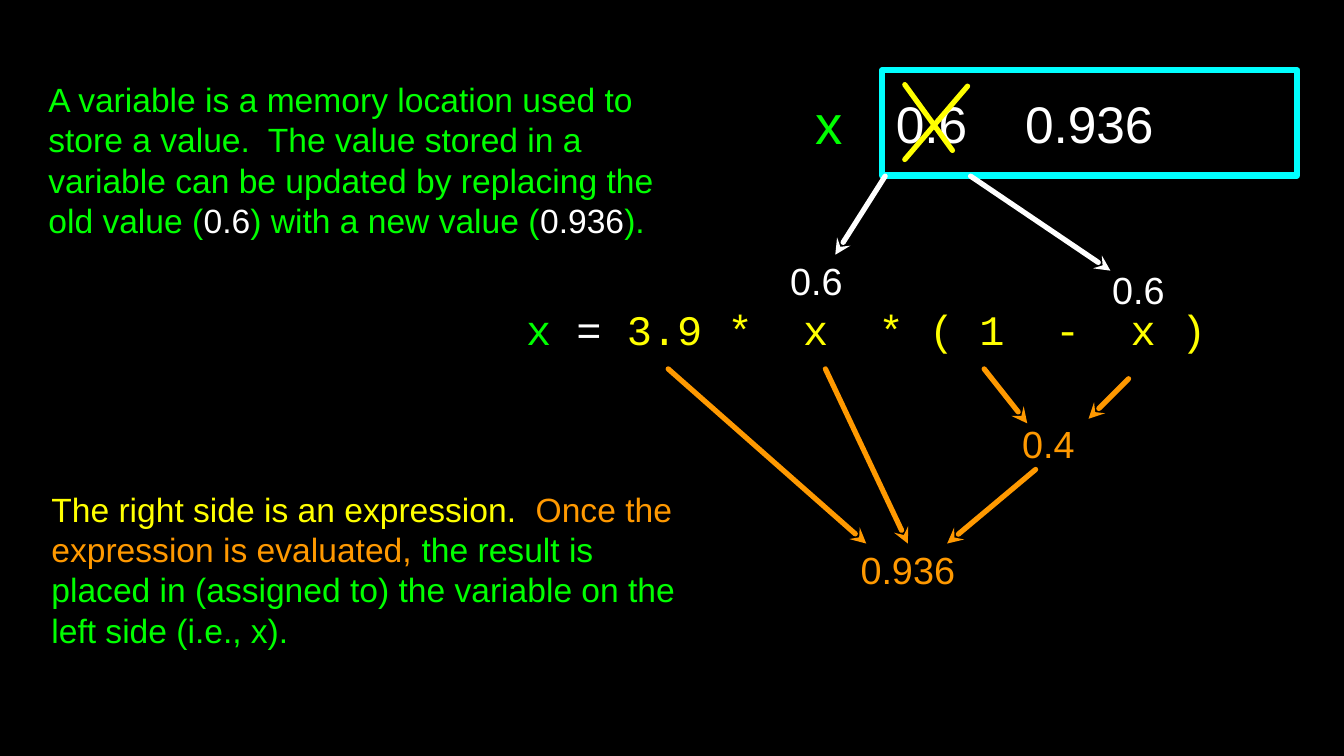
from pptx import Presentation
from pptx.dml.color import RGBColor
from pptx.enum.shapes import MSO_CONNECTOR, MSO_SHAPE
from pptx.enum.text import MSO_ANCHOR, PP_ALIGN
from pptx.oxml.ns import qn
from pptx.util import Inches, Pt
from lxml.etree import SubElement

GREEN, WHITE, YELLOW = "00FF00", "FFFFFF", "FFFF00"
ORANGE, CYAN, BLACK = "FF9900", "00FFFF", "000000"

MEMORY_BOX = (11.67, 0.93, 5.49, 1.39)
MEMORY_INDENT, MEMORY_TAB = 0.18, 1.71

EXPRESSION = [("x ", GREEN), ("= ", WHITE), ("3.9 *  x  * ( 1  -  x )", YELLOW)]
ASSIGNMENT = [
    ("The right side is an expression.  ", YELLOW),
    ("Once the expression is evaluated, ", ORANGE),
    ("the result is placed in (assigned to) the variable on the left side (i.e., x).", GREEN),
]
DEFINITION = [
    ("A variable is a memory location used to store a value.  The value stored in a "
     "variable can be updated by replacing the old value (", GREEN),
    ("0.6", WHITE),
    (") with a new value (", GREEN),
    ("0.936", WHITE),
    (").", GREEN),
]
PASSAGES = [
    ((6.96, 3.72, 9.67, 1.26), EXPRESSION, 40, "Courier New"),
    ((0.68, 6.4, 8.38, 2.26), ASSIGNMENT, 32, "Arial"),
    ((0.64, 0.93, 8.21, 2.36), DEFINITION, 32, "Arial"),
]
LABELS = [
    ("x", (10.73, 1.15, 0.49, 0.94), 52, GREEN),
    ("0.4", (13.29, 5.53, 1.16, 0.68), 36, ORANGE),
    ("0.936", (11.06, 7.19, 1.9, 0.68), 36, ORANGE),
    ("0.6", (10.31, 3.37, 0.98, 0.68), 36, WHITE),
    ("0.6", (14.48, 3.49, 1.16, 0.68), 36, WHITE),
]
ARROWS = [
    ((12.53, 7.19), (13.7, 6.21), ORANGE),
    ((14.4, 5.54), (14.93, 5.01), ORANGE),
    ((13.59, 5.6), (13.02, 4.88), ORANGE),
    ((11.46, 7.19), (8.84, 4.88), ORANGE),
    ((12.01, 7.19), (10.92, 4.88), ORANGE),
    ((11.05, 3.37), (11.71, 2.33), WHITE),
    ((14.69, 3.58), (12.84, 2.33), WHITE),
]
CROSS = [((12.8, 1.14), (11.97, 2.11)), ((11.97, 1.12), (12.6, 1.99))]


def rgb(value):
    return RGBColor.from_string(value)


def write(sp, runs, size, font="Arial", align=PP_ALIGN.LEFT):
    tf = sp.text_frame
    tf.word_wrap = True
    tf.vertical_anchor = MSO_ANCHOR.MIDDLE
    tf.margin_left = tf.margin_right = tf.margin_top = tf.margin_bottom = 0
    p = tf.paragraphs[0]
    p.alignment = align
    for text, color in runs:
        r = p.add_run()
        r.text = text
        r.font.size = Pt(size)
        r.font.name = font
        r.font.color.rgb = rgb(color)
    return tf


def add_text(box, *style):
    write(s.shapes.add_textbox(*map(Inches, box)), *style)


def add_line(start, end, color, arrow=False):
    points = map(Inches, start + end)
    line = s.shapes.add_connector(MSO_CONNECTOR.STRAIGHT, *points)
    line.line.color.rgb = rgb(color)
    line.line.width = Pt(5)
    ln = line.line._get_or_add_ln()
    ln.set("cap", "rnd")
    SubElement(ln, qn("a:round"))
    if arrow:
        SubElement(ln, qn("a:headEnd"), type="stealth")
    SubElement(line._element.spPr, qn("a:effectLst"))


prs = Presentation()
prs.slide_width, prs.slide_height = Inches(17.78), Inches(10)
s = prs.slides.add_slide(prs.slide_layouts[6])
s.background.fill.solid()
s.background.fill.fore_color.rgb = rgb(BLACK)

memory = s.shapes.add_shape(MSO_SHAPE.RECTANGLE, *map(Inches, MEMORY_BOX))
memory.shadow.inherit = False
memory.fill.background()
memory.line.color.rgb = rgb(CYAN)
memory.line.width = Pt(6)
SubElement(memory.line._get_or_add_ln(), qn("a:round"))
tf = write(memory, [("0.6\t0.936", WHITE)], 49)
tf.margin_left = Inches(MEMORY_INDENT)
tabs = SubElement(tf.paragraphs[0]._p.get_or_add_pPr(), qn("a:tabLst"))
SubElement(tabs, qn("a:tab"), pos=str(Inches(MEMORY_TAB)), algn="l")

for box, runs, size, font in PASSAGES:
    add_text(box, runs, size, font)
for text, box, size, color in LABELS:
    add_text(box, [(text, color)], size, "Arial", PP_ALIGN.CENTER)
for start, end, color in ARROWS:
    add_line(start, end, color, arrow=True)
for start, end in CROSS:
    add_line(start, end, YELLOW)

prs.save("out.pptx")
